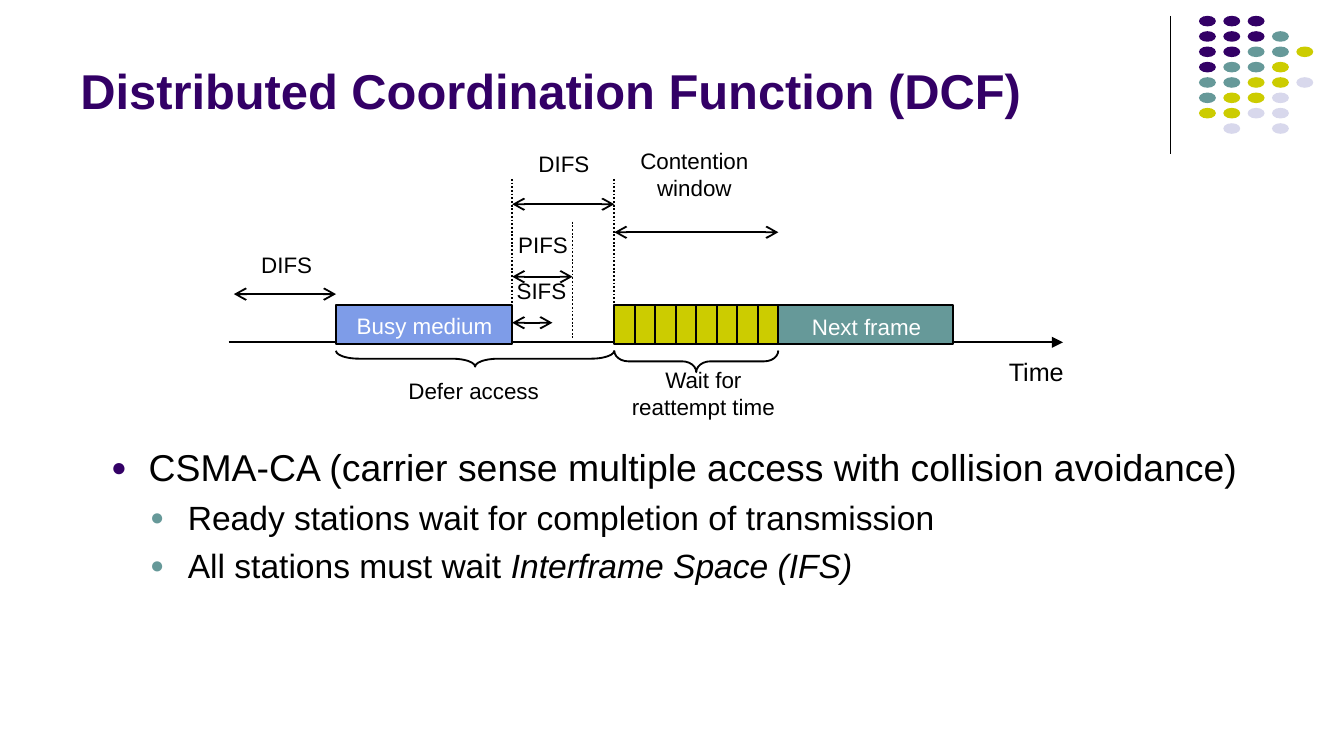
from lxml import etree
from pptx import Presentation
from pptx.dml.color import RGBColor
from pptx.enum import dml, shapes, text
from pptx.oxml import ns
from pptx.util import Cm, Pt

BLACK = RGBColor(0x00, 0x00, 0x00)
WHITE = RGBColor(0xFF, 0xFF, 0xFF)
PURPLE = RGBColor(0x33, 0x00, 0x66)
TEAL = RGBColor(0x66, 0x99, 0x99)
LIME = RGBColor(0xCC, 0xCC, 0x00)
LILAC = RGBColor(0xD8, 0xD8, 0xEC)
BLUE = RGBColor(0x7E, 0x9C, 0xE8)
FONT = "Arial"

TITLE = "Distributed Coordination Function (DCF)"

# Level, then (text, italic) runs
BULLETS = [
    (0, [("CSMA-CA (carrier sense multiple access with collision avoidance)", False)]),
    (1, [("Ready stations wait for completion of transmission", False)]),
    (1, [("All stations must wait ", False), ("Interframe Space (IFS)", True)]),
]
LEVELS = [  # size, left margin in cm, bullet colour
    (20, 0.71, PURPLE),
    (18, 1.45, TEAL),
]

# One string per row of the dot ornament, a space where there is no dot
DOTS = ["PPP", "PPPT", "PPTTL", "PTTL", "TTLLV", "TLLV", "LLVV", " V V"]
DOT_COLORS = {"P": PURPLE, "T": TEAL, "L": LIME, "V": LILAC}

# Moments on the time axis, in cm from the left
START, BUSY, IDLE, SIFS, PIFS, WINDOW, NEXT, END = (
    4.42, 6.35, 9.68, 10.44, 10.82, 11.61, 14.71, 18.01)
AXIS_Y, BAR_TOP, BAR_HEIGHT = 6.47, 5.77, 0.74
SLOTS = 8

SPANS = [  # from, to, y
    (START, BUSY, 5.56),
    (IDLE, WINDOW, 3.86),
    (IDLE, PIFS, 5.23),
    (IDLE, SIFS, 6.1),
    (WINDOW, NEXT, 4.39),
]
GUIDES = [(IDLE, 3.38), (WINDOW, 3.38), (PIFS, 4.19)]  # x, top
GUIDE_BOTTOM = 6.38
SLOT = (NEXT - WINDOW) / SLOTS
BARS = [(BUSY, IDLE, BLUE)]
BARS += [(WINDOW + i * SLOT, WINDOW + (i + 1) * SLOT, LIME) for i in range(SLOTS)]
BARS += [(NEXT, END, TEAL)]
BRACES = [  # from, to, centre y, depth, curl
    (BUSY, WINDOW, 6.78, 0.3, 1.47),
    (WINDOW, NEXT, 6.83, 0.41, 0.65),
]
LABELS = [  # lines, left, top, width, height, size, colour, wrap
    (["DIFS"], 4.67, 4.62, 1.5, 0.76, 12, BLACK, False),
    (["DIFS"], 9.91, 2.72, 1.5, 0.76, 12, BLACK, False),
    (["PIFS"], 9.53, 4.24, 1.47, 0.76, 12, BLACK, False),
    (["SIFS"], 9.5, 5.11, 1.47, 0.76, 12, BLACK, False),
    (["Contention", "window"], 11.84, 2.64, 2.57, 1.3, 12, BLACK, False),
    (["Next frame"], 14.78, 5.79, 3.2, 0.76, 12, WHITE, True),
    (["Defer access"], 6.91, 7.01, 4.09, 0.76, 12, BLACK, True),
    (["Wait for", "reattempt time"], 11.25, 6.78, 4.09, 1.3, 12, BLACK, True),
    (["Time"], 18.8, 6.6, 1.57, 0.84, 13.5, BLACK, False),
    (["Busy medium"], 6.4, 5.77, 3.25, 0.76, 12, WHITE, True),
]


def set_font(font, **values):
    color = values.pop("color")
    for name, value in {"name": FONT, **values}.items():
        setattr(font, name, value)
    font.color.rgb = color


def add_line(s, x1, y1, x2, y2, width=1, dash=None, head=None, tail=None):
    c = s.shapes.add_connector(shapes.MSO_CONNECTOR.STRAIGHT, Cm(x1), Cm(y1), Cm(x2), Cm(y2))
    c.line.color.rgb = BLACK
    c.line.width = Pt(width)
    if dash:
        c.line.dash_style = dash
    for tag, kind in (("a:headEnd", head), ("a:tailEnd", tail)):
        if kind:
            etree.SubElement(c.line._get_or_add_ln(), ns.qn(tag), type=kind)
    etree.SubElement(c._element.spPr, ns.qn("a:effectLst"))


def add_shape(s, kind, x, y, w, h, fill=None, outline=True):
    sp = s.shapes.add_shape(kind, Cm(x), Cm(y), Cm(w), Cm(h))
    sp.shadow.inherit = False
    if fill is None:
        sp.fill.background()
    else:
        sp.fill.solid()
        sp.fill.fore_color.rgb = fill
    if outline:
        sp.line.color.rgb = BLACK
        sp.line.width = Pt(1)
    else:
        sp.line.fill.background()
    return sp


def add_brace(s, x1, x2, y, depth, curl):
    """Draw a brace under x1..x2: a left brace turned a quarter to the left."""
    span = x2 - x1
    sp = add_shape(s, shapes.MSO_SHAPE.LEFT_BRACE,
                   (x1 + x2 - depth) / 2, y - span / 2, depth, span)
    sp.rotation = 270
    sp.adjustments[0] = curl


def add_text_frame(s, x, y, w, h, anchor, wrap=True):
    tf = s.shapes.add_textbox(Cm(x), Cm(y), Cm(w), Cm(h)).text_frame
    tf.word_wrap = wrap
    tf.vertical_anchor = anchor
    return tf


def add_label(s, lines, x, y, w, h, size, color, wrap):
    tf = add_text_frame(s, x, y, w, h, text.MSO_ANCHOR.MIDDLE, wrap)
    for i, line in enumerate(lines):
        p = tf.add_paragraph() if i else tf.paragraphs[0]
        p.alignment = text.PP_ALIGN.CENTER
        r = p.add_run()
        r.text = line
        set_font(r.font, size=Pt(size), color=color)


def add_bullet(p, margin, color):
    pPr = p._p.get_or_add_pPr()
    pPr.set("marL", str(Cm(margin)))
    pPr.set("indent", str(-Cm(0.71)))
    clr = etree.SubElement(pPr, ns.qn("a:buClr"))
    etree.SubElement(clr, ns.qn("a:srgbClr"), val=str(color))
    etree.SubElement(pPr, ns.qn("a:buSzPct"), val="70000")
    etree.SubElement(pPr, ns.qn("a:buFont"), typeface=FONT)
    etree.SubElement(pPr, ns.qn("a:buChar"), char="●")


def add_ornament(s):
    add_line(s, 22.12, 0.3, 22.12, 2.92, width=0.75)
    for row, dots in enumerate(DOTS):
        for col, key in enumerate(dots):
            if key in DOT_COLORS:
                add_shape(s, shapes.MSO_SHAPE.OVAL, 22.66 + 0.46 * col, 0.3 + 0.29 * row,
                          0.32, 0.2, DOT_COLORS[key], outline=False)


def add_title_and_bullets(s):
    tf = add_text_frame(s, 1.27, 0.25, 20.96, 2.13, text.MSO_ANCHOR.BOTTOM)
    r = tf.paragraphs[0].add_run()
    r.text = TITLE
    set_font(r.font, size=Pt(26.2), bold=True, color=PURPLE)

    tf = add_text_frame(s, 1.85, 8.28, 21.84, 3.18, text.MSO_ANCHOR.TOP)
    for i, (level, runs) in enumerate(BULLETS):
        size, margin, color = LEVELS[level]
        p = tf.add_paragraph() if i else tf.paragraphs[0]
        p.level = level
        if i:
            p.space_before = Pt(4.2)
        add_bullet(p, margin, color)
        for words, italic in runs:
            r = p.add_run()
            r.text = words
            set_font(r.font, size=Pt(size), italic=italic, color=BLACK)


def add_timing_diagram(s):
    add_line(s, 4.32, AXIS_Y, 20.09, AXIS_Y, tail="triangle")
    for x1, x2, y in SPANS:
        add_line(s, x1, y, x2, y, head="arrow", tail="arrow")
    for x, top in GUIDES:
        add_line(s, x, top, x, GUIDE_BOTTOM, dash=dml.MSO_LINE.ROUND_DOT)
    for x1, x2, color in BARS:
        add_shape(s, shapes.MSO_SHAPE.RECTANGLE, x1, BAR_TOP, x2 - x1, BAR_HEIGHT, color)
    for brace in BRACES:
        add_brace(s, *brace)
    for label in LABELS:
        add_label(s, *label)


def main():
    prs = Presentation()
    prs.slide_width, prs.slide_height = Cm(25.4), Cm(14.29)
    s = prs.slides.add_slide(prs.slide_layouts[6])
    add_ornament(s)
    add_title_and_bullets(s)
    add_timing_diagram(s)
    prs.save("out.pptx")


if __name__ == "__main__":
    main()
